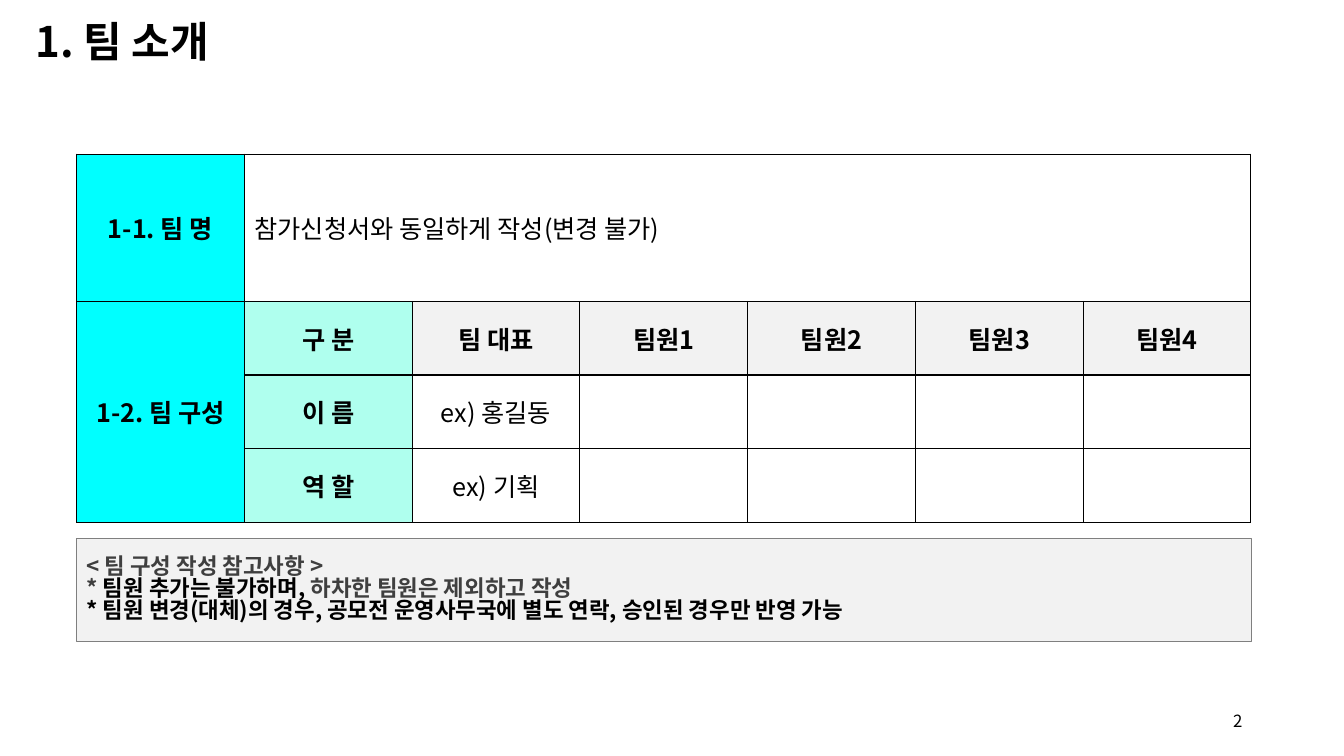
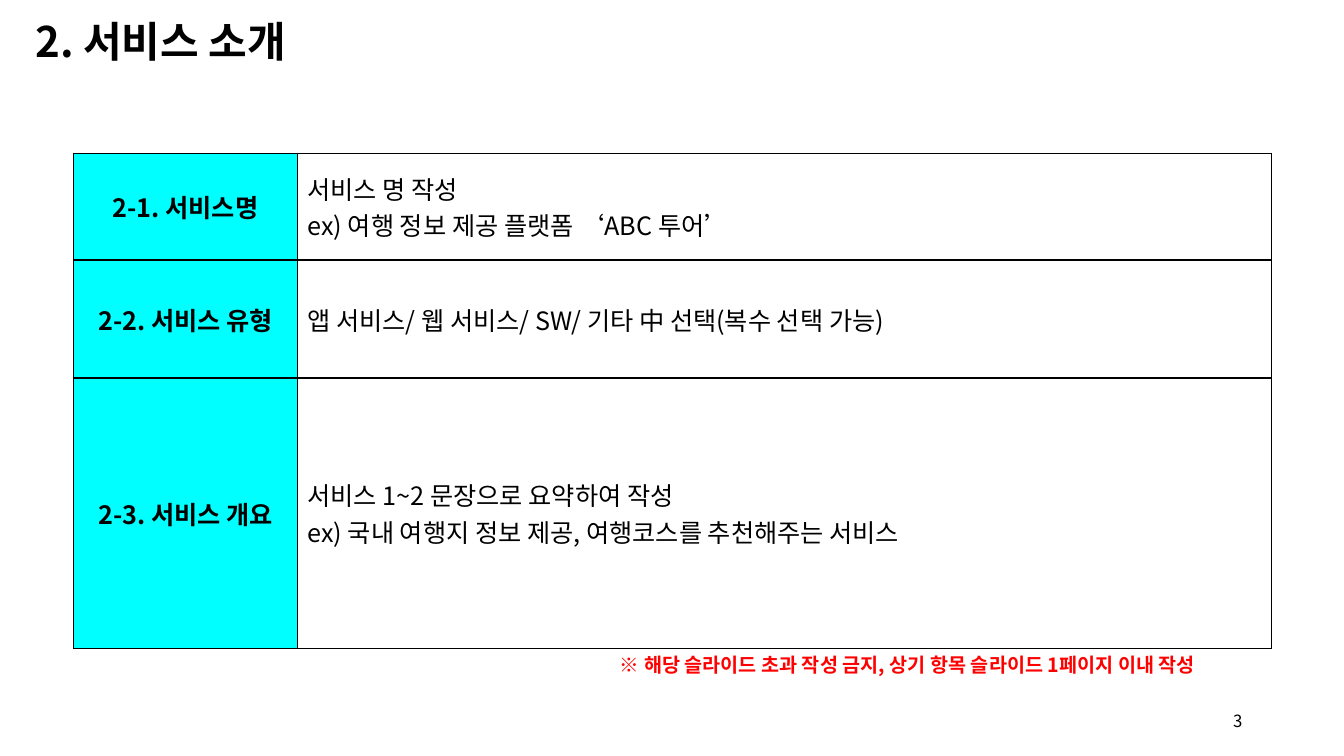
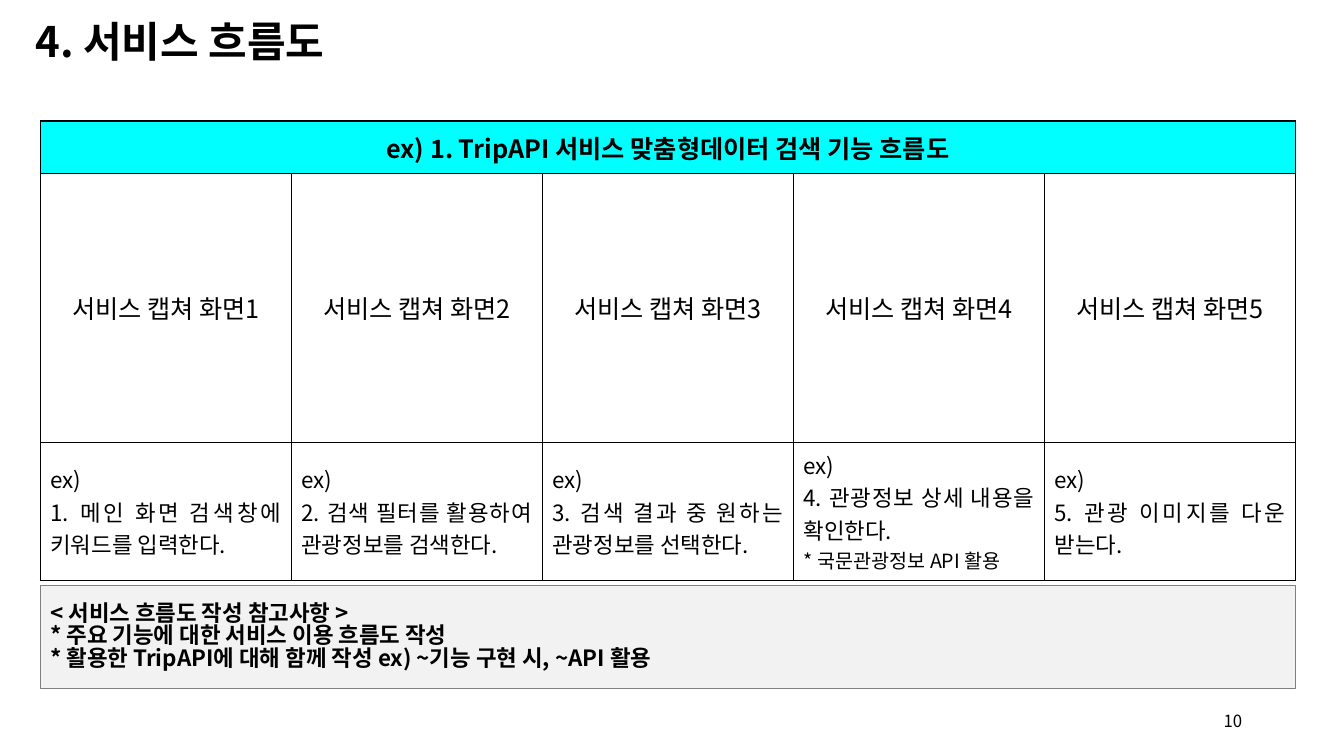
"""Build three form slides: team, service and service flow."""
from lxml import etree
from pptx import Presentation
from pptx.dml.color import RGBColor
from pptx.enum.shapes import MSO_SHAPE
from pptx.enum.text import MSO_ANCHOR as ANCHOR, MSO_AUTO_SIZE as AUTO, PP_ALIGN as ALIGN
from pptx.oxml import parse_xml
from pptx.oxml.ns import nsdecls, qn
from pptx.util import Inches, Pt

FONT = "Noto Sans CJK KR"
COLORS = dict(black="000000", white="FFFFFF", cyan="00FFFF", mint="AFFFEE", pale="F2F2F2",
              edge="7F7F7F", gray="3F3F3F", red="FF0000")
TITLE = dict(size=30, bold=True, spacing=0.9)
NUMBER = dict(size=12, align=ALIGN.RIGHT)
NOTE = dict(size=16, bold=True, spacing=0.83)
WARNING = dict(size=14, bold=True, color="red", align=ALIGN.JUSTIFY)
CELLS = {
    "head": ("cyan", dict(size=18, bold=True, align=ALIGN.CENTER)),
    "sub": ("mint", dict(size=18, bold=True, align=ALIGN.CENTER)),
    "label": ("pale", dict(size=18, bold=True, align=ALIGN.CENTER)),
    "sample": ("white", dict(size=18, align=ALIGN.CENTER)),
    "body": ("white", dict(size=18, align=ALIGN.JUSTIFY)),
    "step": ("white", dict(size=16, align=ALIGN.JUSTIFY)),
}
BLANK = ("sample", [])

STEPS = [
    ["ex)", "1. 메인 화면 검색창에 키워드를 입력한다."],
    ["ex)", "2. 검색 필터를 활용하여 관광정보를 검색한다."],
    ["ex)", "3. 검색 결과 중 원하는 관광정보를 선택한다."],
    ["ex)", "4. 관광정보 상세 내용을 확인한다.", [("* 국문관광정보 API 활용", dict(size=14))]],
    ["ex)", "5. 관광 이미지를 다운 받는다."],
]
GRAY = dict(color="gray")

SLIDES = [
    dict(
        title="1. 팀 소개", number="2",
        table=dict(
            at=(0.76, 1.53), cols=[1.664] * 7, rows=[1.46, 0.73, 0.73, 0.73],
            merges=[(0, 1, 0, 6), (1, 0, 3, 0)],
            cells=[
                [("head", ["1-1. 팀 명"]), ("body", ["참가신청서와 동일하게 작성(변경 불가)"])]
                + [BLANK] * 5,
                [("head", ["1-2. 팀 구성"]), ("sub", ["구 분"]), ("label", ["팀 대표"])]
                + [("label", [f"팀원{i}"]) for i in range(1, 5)],
                [BLANK, ("sub", ["이 름"]), ("sample", ["ex) 홍길동"])] + [BLANK] * 4,
                [BLANK, ("sub", ["역 할"]), ("sample", ["ex) 기획"])] + [BLANK] * 4,
            ]),
        note=dict(at=(0.76, 5.34, 11.65, 1.02), lines=[
            [("< 팀 구성 작성 참고사항 >", GRAY)],
            [("* ", GRAY), ("팀원 추가는 불가하며, ", {}), ("하차한 팀원은 제외하고 작성", GRAY)],
            "* 팀원 변경(대체)의 경우, 공모전 운영사무국에 별도 연락, 승인된 경우만 반영 가능",
        ])),
    dict(
        title="2. 서비스 소개", number="3",
        table=dict(
            at=(0.73, 1.52), cols=[2.22, 9.66], rows=[1.06, 1.17, 2.68], merges=[],
            cells=[
                [("head", ["2-1. 서비스명"]),
                 ("body", ["서비스 명 작성", "ex) 여행 정보 제공 플랫폼 ‘ABC 투어’"])],
                [("head", ["2-2. 서비스 유형"]),
                 ("body", ["앱 서비스/ 웹 서비스/ SW/ 기타 中 선택(복수 선택 가능)"])],
                [("head", ["2-3. 서비스 개요"]),
                 ("body", ["서비스 1~2 문장으로 요약하여 작성",
                           "ex) 국내 여행지 정보 제공, 여행코스를 추천해주는 서비스"])],
            ]),
        warning="※ 해당 슬라이드 초과 작성 금지, 상기 항목 슬라이드 1페이지 이내 작성"),
    dict(
        title="4. 서비스 흐름도", number="10",
        table=dict(
            at=(0.4, 1.2), cols=[2.49] * 5, rows=[0.52, 2.67, 1.37], merges=[(0, 0, 0, 4)],
            cells=[
                [("head", ["ex) 1. TripAPI 서비스 맞춤형데이터 검색 기능 흐름도"])] + [BLANK] * 4,
                [("sample", [f"서비스 캡쳐 화면{i}"]) for i in range(1, 6)],
                [("step", lines) for lines in STEPS],
            ]),
        note=dict(at=(0.4, 5.81, 12.45, 1.02), lines=[
            "< 서비스 흐름도 작성 참고사항 >",
            "* 주요 기능에 대한 서비스 이용 흐름도 작성",
            "* 활용한 TripAPI에 대해 함께 작성 ex) ~기능 구현 시, ~API 활용",
        ])),
]


def rgb(name):
    return RGBColor.from_string(COLORS[name])


def write(tf, lines, align=ALIGN.LEFT, spacing=None, **style):
    for i, line in enumerate(lines):
        p = tf.paragraphs[0] if i == 0 else tf.add_paragraph()
        p.alignment, p.line_spacing = align, spacing
        for text, extra in [(line, {})] if isinstance(line, str) else line:
            look = dict(bold=False, color="black") | style | extra
            r = p.add_run()
            r.text = text
            values = dict(name=FONT, size=Pt(look["size"]), bold=look["bold"])
            for key, value in values.items():
                setattr(r.font, key, value)
            r.font.color.rgb = rgb(look["color"])
            ea = etree.SubElement(r.font._element, qn("a:ea"))
            ea.set("typeface", FONT)


def add_text(s, at, lines, style, anchor=ANCHOR.MIDDLE):
    tf = s.shapes.add_textbox(*map(Inches, at)).text_frame
    tf.word_wrap, tf.vertical_anchor = True, anchor
    write(tf, lines, **style)
    return tf


def add_note(s, at, lines):
    sp = s.shapes.add_shape(MSO_SHAPE.RECTANGLE, *map(Inches, at))
    sp.shadow.inherit = False
    sp.fill.solid()
    sp.fill.fore_color.rgb = rgb("pale")
    sp.line.color.rgb = rgb("edge")
    sp.line.width = Pt(0.75)
    tf = sp.text_frame
    tf.word_wrap, tf.vertical_anchor = True, ANCHOR.MIDDLE
    write(tf, lines, **NOTE)


def add_borders(cell):
    tc_pr = cell._tc.get_or_add_tcPr()
    for i, side in enumerate("LRTB"):
        tc_pr.insert(i, parse_xml(
            f'<a:ln{side} {nsdecls("a")} w="{Pt(1)}"><a:solidFill>'
            f'<a:srgbClr val="{COLORS["black"]}"/></a:solidFill></a:ln{side}>'))


def add_grid(s, at, cols, rows, merges, cells):
    size = Inches(sum(cols)), Inches(sum(rows))
    table = s.shapes.add_table(len(rows), len(cols), *map(Inches, at), *size).table
    table.first_row = table.horz_banding = False
    for col, width in zip(table.columns, cols):
        col.width = Inches(width)
    for row, height in zip(table.rows, rows):
        row.height = Inches(height)
    for top, left, bottom, right in merges:
        table.cell(top, left).merge(table.cell(bottom, right))
    for r, row in enumerate(cells):
        for c, (kind, lines) in enumerate(row):
            cell = table.cell(r, c)
            fill, style = CELLS[kind]
            cell.fill.solid()
            cell.fill.fore_color.rgb = rgb(fill)
            cell.vertical_anchor = ANCHOR.MIDDLE
            add_borders(cell)
            write(cell.text_frame, lines, **style)


def add_slide(prs, title, number, table, note=None, warning=None):
    s = prs.slides.add_slide(prs.slide_layouts[5])
    sp = s.shapes.title
    box = dict(left=0.25, top=0, width=13.08, height=0.88)
    for key, value in box.items():
        setattr(sp, key, Inches(value))
    tf = sp.text_frame
    tf.auto_size, tf.vertical_anchor = AUTO.NONE, ANCHOR.MIDDLE
    write(tf, [title], **TITLE)
    add_text(s, (9.42, 6.95, 3, 0.4), [number], NUMBER)
    add_grid(s, **table)
    if note:
        add_note(s, **note)
    if warning:
        tf = add_text(s, (6.05, 6.43, 6.55, 0.34), [warning], WARNING, ANCHOR.TOP)
        tf.auto_size = AUTO.SHAPE_TO_FIT_TEXT


def main():
    prs = Presentation()
    prs.slide_width, prs.slide_height = Inches(13.33), Inches(7.5)
    for content in SLIDES:
        add_slide(prs, **content)
    prs.save("out.pptx")


if __name__ == "__main__":
    main()
